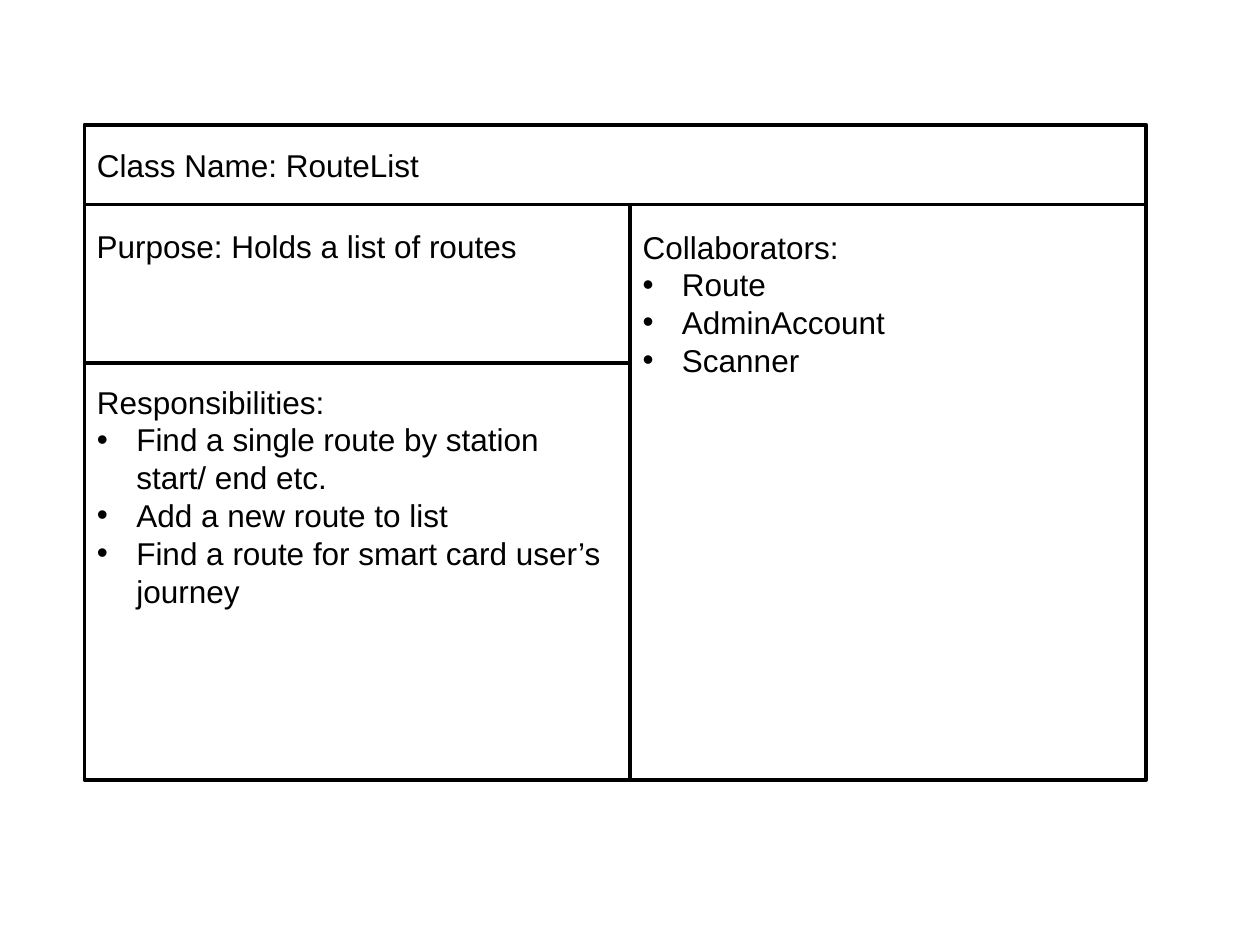
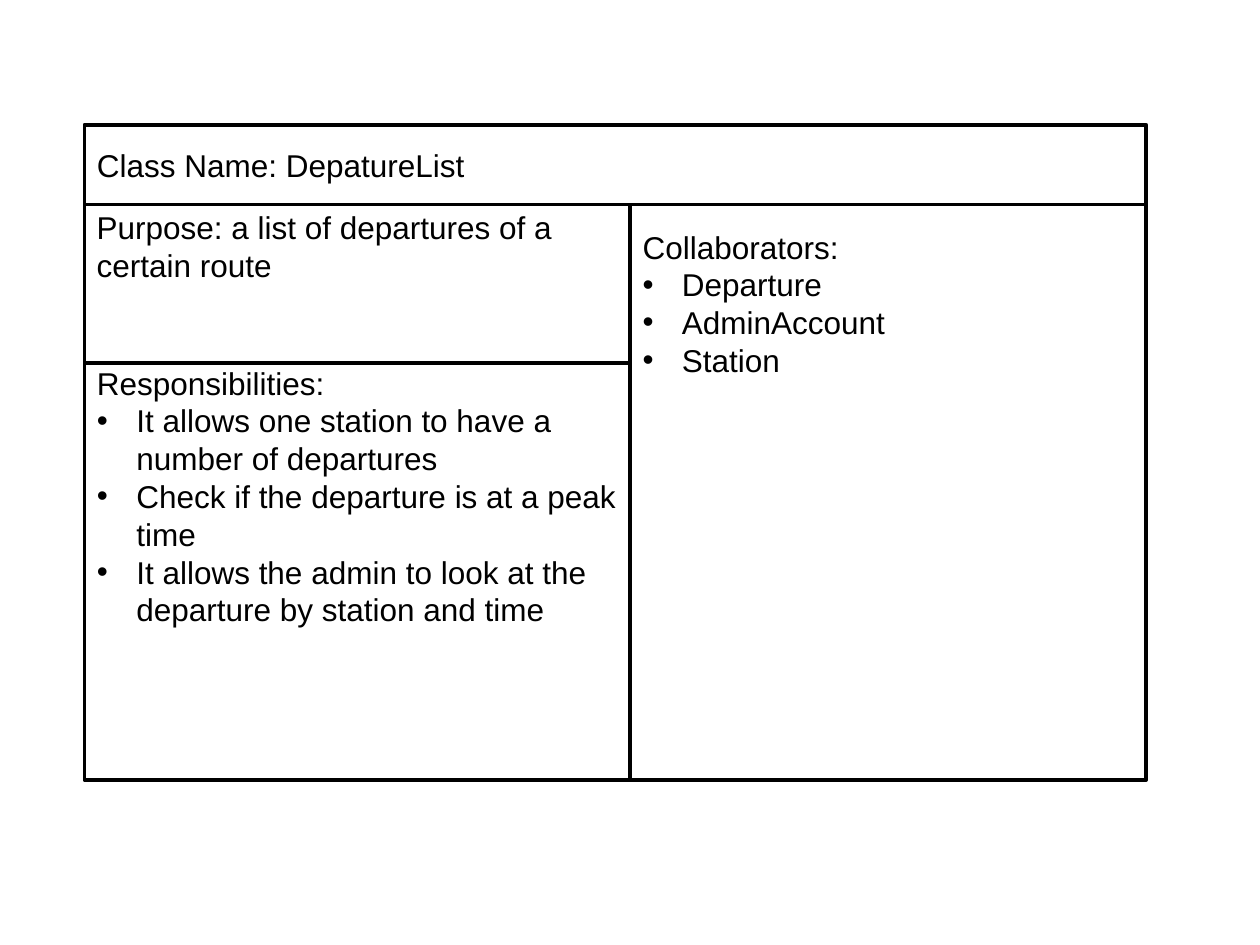
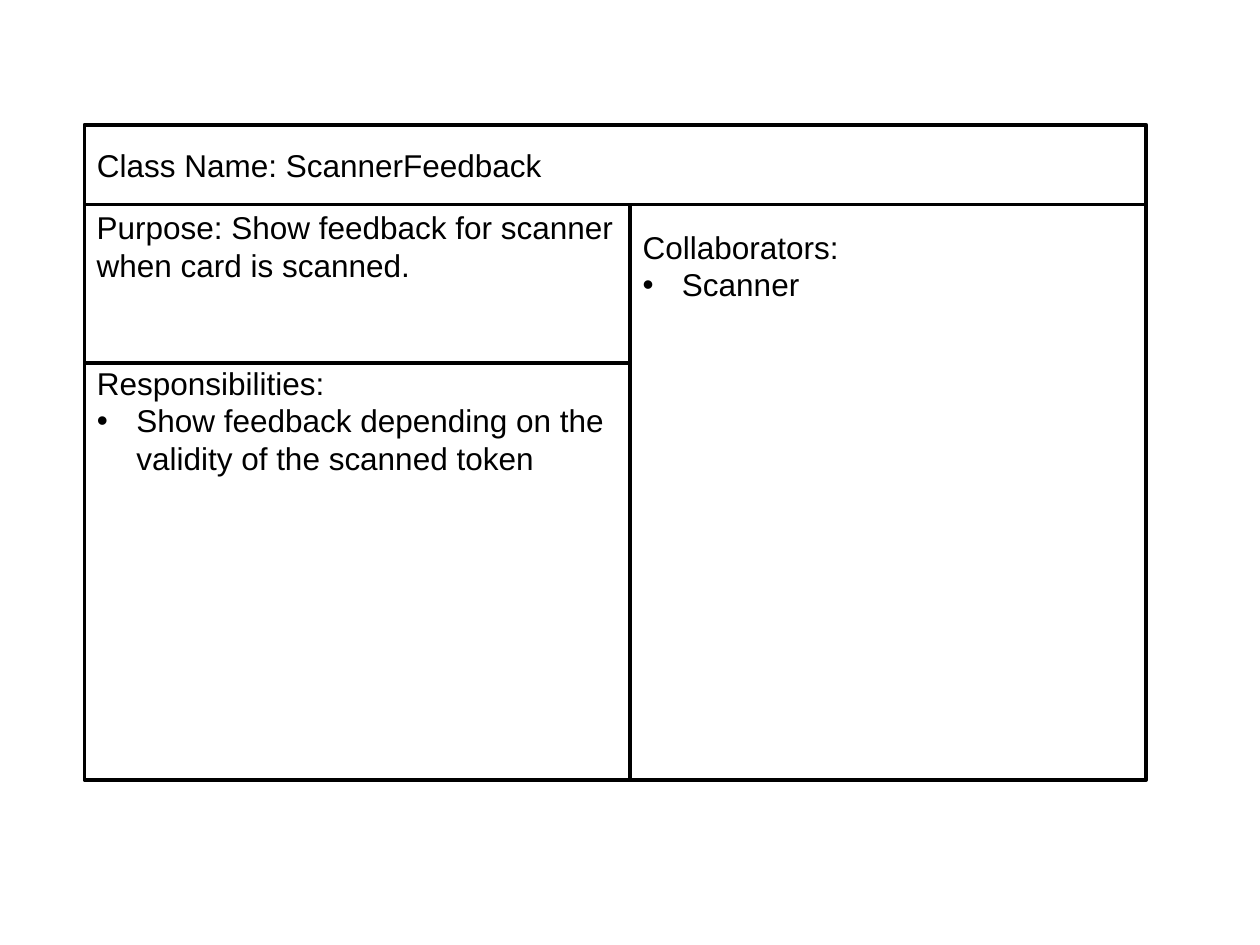
import pptx
import pptx.util
import pptx.dml.color
import pptx.enum.shapes
import pptx.enum.text
import pptx.oxml
import pptx.oxml.ns

CARDS = [
    {
        "name": "RouteList",
        "aim": "Holds a list of routes",
        "tasks": [
            "Find a single route by station start/ end etc.",
            "Add a new route to list",
            "Find a route for smart card user’s journey",
        ],
        "peers": ["Route", "AdminAccount", "Scanner"],
        "rows": {"aim": 3, "tasks": 10},
    },
    {
        "name": "DepatureList",
        "aim": "a list of departures of a certain route",
        "tasks": [
            "It allows one station to have a number of departures",
            "Check if the departure is at a peak time",
            "It allows the admin to look at the departure by station and time",
        ],
        "peers": ["Departure", "AdminAccount", "Station"],
        "rows": {"aim": 4, "tasks": 11},
    },
    {
        "name": "ScannerFeedback",
        "aim": "Show feedback for scanner when card is scanned.",
        "tasks": ["Show feedback depending on the validity of the scanned token"],
        "peers": ["Scanner"],
        "rows": {"aim": 4, "tasks": 11},
    },
]

Pt = pptx.util.Pt
INK, PAPER, FONT = "000000", "FFFFFF", "Arial"
SIZE, LEAD, INDENT, SIDE = 18, 21.6, 22.5, 7.2
LEFT, MID, RIGHT = 48.2, 360, 655
TOP, HEAD, SPLIT, FOOT = 71.3, 116.8, 207.5, 445.7
NAME_ROWS, PEER_ROWS = 1, 14


def color(code):
    """Turn a hex string into a colour."""
    return pptx.dml.color.RGBColor.from_string(code)


def bullet(para, mark):
    """Give a paragraph a hanging bullet, or none."""
    props = para._p.get_or_add_pPr()
    props.set("marL", str(Pt(INDENT) if mark else 0))
    props.set("indent", str(-Pt(INDENT) if mark else 0))
    tag = '<a:buChar %s char="•"/>' if mark else "<a:buNone %s/>"
    props.append(pptx.oxml.parse_xml(tag % pptx.oxml.ns.nsdecls("a")))


def fill_cell(cell, box, rows, head, items=()):
    """Place a framed cell and centre its given number of rows in it."""
    left, top, right, foot = box
    cell.left, cell.top = Pt(left), Pt(top)
    cell.width, cell.height = Pt(right - left), Pt(foot - top)
    cell.fill.solid()
    cell.fill.fore_color.rgb = color(PAPER)
    cell.line.color.rgb = color(INK)
    cell.line.width = Pt(2)

    frame = cell.text_frame
    frame.text = "\n".join([head, *items])
    frame.word_wrap = True
    frame.auto_size = pptx.enum.text.MSO_AUTO_SIZE.NONE
    frame.vertical_anchor = pptx.enum.text.MSO_ANCHOR.TOP
    frame.margin_left = frame.margin_right = Pt(SIDE)
    frame.margin_top = Pt(max(0, (foot - top - rows * LEAD) / 2))
    frame.margin_bottom = 0
    for pos, para in enumerate(frame.paragraphs):
        para.alignment = pptx.enum.text.PP_ALIGN.LEFT
        para.line_spacing = Pt(LEAD)
        para.space_before = para.space_after = Pt(0)
        bullet(para, pos > 0)
        for run in para.runs:
            run.font.name, run.font.size = FONT, Pt(SIZE)
            run.font.color.rgb = color(INK)


def add_card(deck, card):
    """Add one class card as a slide."""
    slide = deck.slides.add_slide(deck.slide_layouts[3])
    title, tasks, peers = slide.placeholders
    aim = slide.shapes.add_shape(
        pptx.enum.shapes.MSO_SHAPE.RECTANGLE, 0, 0, Pt(1), Pt(1))
    aim.shadow.inherit = False
    rows = card["rows"]
    fill_cell(title, (LEFT, TOP, RIGHT, HEAD), NAME_ROWS,
              "Class Name: " + card["name"])
    fill_cell(aim, (LEFT, HEAD, MID, SPLIT), rows["aim"],
              "Purpose: " + card["aim"])
    fill_cell(tasks, (LEFT, SPLIT, MID, FOOT), rows["tasks"],
              "Responsibilities:", card["tasks"])
    fill_cell(peers, (MID, HEAD, RIGHT, FOOT), PEER_ROWS,
              "Collaborators:", card["peers"])


def main():
    """Build the deck of class cards."""
    deck = pptx.Presentation()
    deck.slide_width, deck.slide_height = Pt(720), Pt(540)
    for card in CARDS:
        add_card(deck, card)
    deck.save("out.pptx")


if __name__ == "__main__":
    main()
